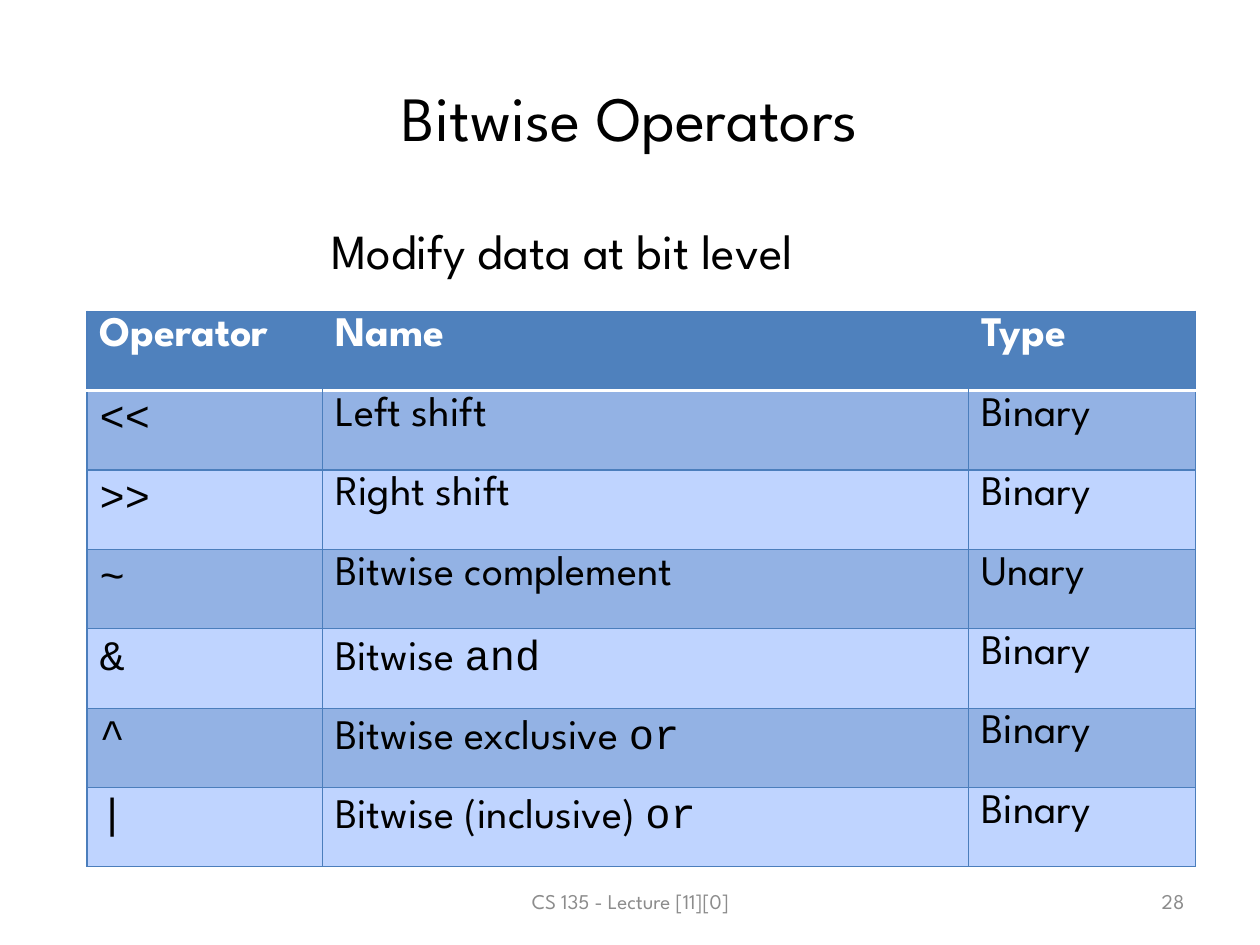
from lxml import etree
from pptx import Presentation
from pptx.dml.color import RGBColor
from pptx.enum import text
from pptx.oxml import ns
from pptx.util import Inches, Pt

SANS, MONO = "League Spartan", "Courier New"
BLACK = RGBColor(0x00, 0x00, 0x00)
WHITE = RGBColor(0xFF, 0xFF, 0xFF)
GREY = RGBColor(0x8C, 0x8C, 0x8C)
HEADER = RGBColor(0x4F, 0x81, 0xBD)
BAND_DARK = RGBColor(0x93, 0xB2, 0xE4)
BAND_LIGHT = RGBColor(0xBF, 0xD4, 0xFF)
GRID = RGBColor(0x4B, 0x7E, 0xBC)

# Each cell is a list of (text, font) runs
HEADINGS = ["Operator", "Name", "Type"]
OPERATORS = [
    ("<<", [("Left shift", SANS)], "Binary"),
    (">>", [("Right shift", SANS)], "Binary"),
    ("~", [("Bitwise complement", SANS)], "Unary"),
    ("&", [("Bitwise ", SANS), ("and", MONO)], "Binary"),
    ("^", [("Bitwise exclusive ", SANS), ("or", MONO)], "Binary"),
    ("|", [("Bitwise (inclusive) ", SANS), ("or", MONO)], "Binary"),
]
COL_WIDTHS = [1.87, 5.13, 1.8]
ROW_HEIGHT = 0.63


def add_runs(p, runs, size, color, bold=False):
    for words, font in runs:
        r = p.add_run()
        r.text = words
        r.font.name, r.font.size, r.font.bold = font, Pt(size), bold
        r.font.color.rgb = color


def set_border(cell, side, color, width):
    """Draw one side (L, R, T or B); without a color the side is empty."""
    ln = etree.SubElement(cell._tc.get_or_add_tcPr(), ns.qn("a:ln" + side),
                          w=str(Pt(width)))
    if color is None:
        etree.SubElement(ln, ns.qn("a:noFill"))
    else:
        fill = etree.SubElement(ln, ns.qn("a:solidFill"))
        etree.SubElement(fill, ns.qn("a:srgbClr"), val=str(color))


def add_title(s, box, words):
    sp = s.shapes.title
    sp.left, sp.top, sp.width, sp.height = map(Inches, box)
    tf = sp.text_frame
    tf.vertical_anchor = text.MSO_ANCHOR.MIDDLE
    p = tf.paragraphs[0]
    p.alignment = text.PP_ALIGN.CENTER
    add_runs(p, [(words, SANS)], 36, BLACK)


def add_text(s, box, words, size, color, align, anchor, wrap=True):
    tf = s.shapes.add_textbox(*map(Inches, box)).text_frame
    tf.word_wrap = wrap
    tf.vertical_anchor = anchor
    p = tf.paragraphs[0]
    p.alignment = align
    add_runs(p, [(words, SANS)], size, color)


def add_operator_table(s, left, top):
    rows = [[[(h, SANS)] for h in HEADINGS]]
    rows += [[[(op, MONO)], name, [(kind, SANS)]] for op, name, kind in OPERATORS]
    table = s.shapes.add_table(
        len(rows), len(COL_WIDTHS), Inches(left), Inches(top),
        Inches(sum(COL_WIDTHS)), Inches(ROW_HEIGHT * len(rows))).table
    for col, width in zip(table.columns, COL_WIDTHS):
        col.width = Inches(width)

    last = len(COL_WIDTHS) - 1
    for i, row in enumerate(rows):
        table.rows[i].height = Inches(ROW_HEIGHT)
        head = i == 0
        for j, runs in enumerate(row):
            cell = table.cell(i, j)
            # The header has no inner verticals and a white rule below it
            set_border(cell, "L", None if head and j > 0 else GRID, 0.75)
            set_border(cell, "R", None if head and j < last else GRID, 0.75)
            set_border(cell, "T", *((WHITE, 2) if i == 1 else (GRID, 0.75)))
            set_border(cell, "B", *((WHITE, 2) if head else (GRID, 0.75)))
            cell.fill.solid()
            cell.fill.fore_color.rgb = (
                HEADER if head else BAND_DARK if i % 2 else BAND_LIGHT)
            add_runs(cell.text_frame.paragraphs[0], runs, 24,
                     WHITE if head else BLACK, bold=head)


def add_footer(s, top, height):
    middle = text.MSO_ANCHOR.MIDDLE
    add_text(s, (3.42, top, 3.17, height), "CS 135 - Lecture [11][0]", 12, GREY,
             text.PP_ALIGN.CENTER, middle)
    add_text(s, (7.17, top, 2.33, height), "28", 12, GREY,
             text.PP_ALIGN.RIGHT, middle)


prs = Presentation()
prs.slide_width, prs.slide_height = Inches(10), Inches(7.5)
s = prs.slides.add_slide(prs.slide_layouts[5])
add_title(s, (0.5, 0.3, 9, 1.25), "Bitwise Operators")
add_footer(s, 6.95, 0.4)
add_operator_table(s, 0.69, 2.47)
add_text(s, (2.53, 1.7, 4.64, 0.57), "Modify data at bit level", 28, BLACK,
         text.PP_ALIGN.LEFT, text.MSO_ANCHOR.TOP, wrap=False)
prs.save("out.pptx")
